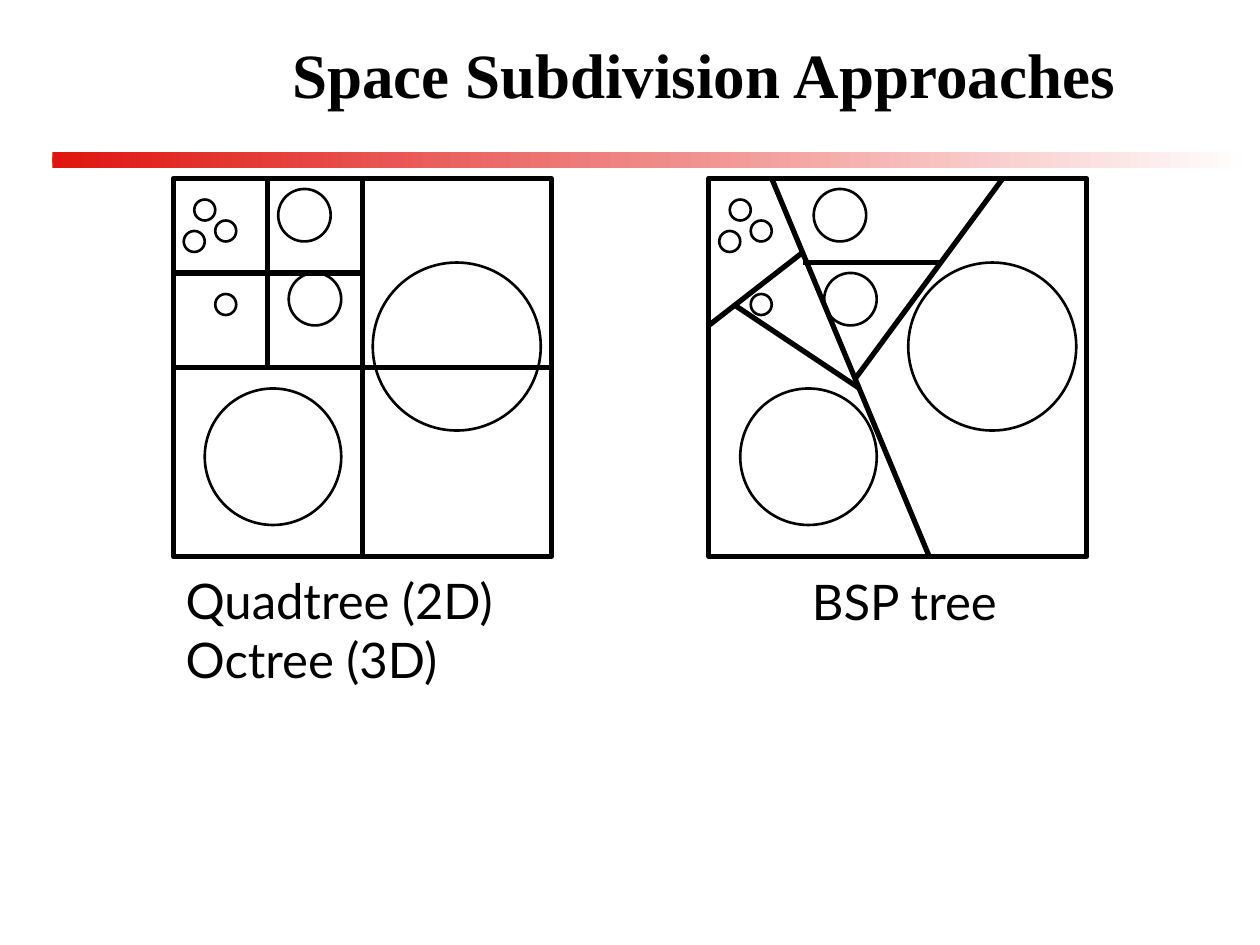
from dataclasses import dataclass

from lxml.etree import SubElement
from pptx import Presentation
from pptx.dml.color import RGBColor
from pptx.enum.shapes import MSO_CONNECTOR, MSO_SHAPE
from pptx.enum.text import MSO_ANCHOR, MSO_AUTO_SIZE, PP_ALIGN
from pptx.oxml.ns import qn
from pptx.util import Emu, Pt


@dataclass(frozen=True)
class Theme:
    """Colours, fonts, type sizes and line weights of the slide."""

    ink: RGBColor = RGBColor(0, 0, 0)
    bar_start: RGBColor = RGBColor(0xDF, 0x14, 0x0F)
    bar_end: RGBColor = RGBColor(0xFF, 0xFF, 0xFF)
    title_font: str = "Times New Roman"
    caption_font: str = "Lato"
    title_size: int = 36
    title_gap_size: int = 30
    caption_size: int = 28
    heavy_line: float = 3
    light_line: float = 1.5


def px(length):
    """Turn px into EMU at 96 px to the inch."""
    return Emu(length * 9525)


class SlideBuilder:
    """Draws styled elements on the current slide."""

    def __init__(self, slide, theme):
        self.slide = slide
        self.theme = theme

    def gradient_bar(self, left, top, width, height):
        """Add a bar that fades from left to right."""
        shape = self.slide.shapes.add_shape(
            MSO_SHAPE.RECTANGLE, px(left), px(top), px(width), px(height))
        shape.shadow.inherit = False
        shape.line.fill.background()
        shape.fill.gradient()
        shape.fill.gradient_angle = 0
        colors = (self.theme.bar_start, self.theme.bar_end)
        for stop, color in zip(shape.fill.gradient_stops, colors):
            stop.color.rgb = color

    def outline(self, shapes, kind, left, top, size, weight):
        """Add an unfilled shape as wide as it is high."""
        shape = shapes.add_shape(kind, px(left), px(top), px(size), px(size))
        shape.shadow.inherit = False
        shape.fill.background()
        shape.line.color.rgb = self.theme.ink
        shape.line.width = Pt(weight)

    def frame(self, left, top, size):
        """Add the square border of a diagram."""
        self.outline(self.slide.shapes, MSO_SHAPE.RECTANGLE,
                     left, top, size, self.theme.heavy_line)

    def circles(self, left, top, circles):
        """Add a group of circles placed relative to a diagram corner."""
        group = self.slide.shapes.add_group_shape()
        for x, y, size in circles:
            self.outline(group.shapes, MSO_SHAPE.OVAL,
                         left + x, top + y, size, self.theme.light_line)

    def splits(self, left, top, splits):
        """Add dividing lines placed relative to a diagram corner."""
        for x1, y1, x2, y2 in splits:
            line = self.slide.shapes.add_connector(
                MSO_CONNECTOR.STRAIGHT, px(left + x1), px(top + y1),
                px(left + x2), px(top + y2))
            line.line.color.rgb = self.theme.ink
            line.line.width = Pt(self.theme.heavy_line)
            SubElement(line._element.spPr, qn("a:effectLst"))

    def style(self, paragraph, font_name, size, align, bold=False):
        """Set the font and alignment of a paragraph."""
        paragraph.alignment = align
        paragraph.font.name = font_name
        paragraph.font.size = Pt(size)
        paragraph.font.bold = bold
        paragraph.font.color.rgb = self.theme.ink

    def title(self, left, top, width, height, before, after):
        """Add the title, with a narrower space between its parts."""
        box = self.slide.shapes.add_textbox(
            px(left), px(top), px(width), px(height))
        frame = box.text_frame
        frame.word_wrap = True
        frame.vertical_anchor = MSO_ANCHOR.MIDDLE
        paragraph = frame.paragraphs[0]
        for text in (before, " ", after):
            run = paragraph.add_run()
            run.text = text
            if text == " ":
                run.font.size = Pt(self.theme.title_gap_size)
        self.style(paragraph, self.theme.title_font, self.theme.title_size,
                   PP_ALIGN.CENTER, bold=True)

    def caption(self, left, top, width, height, text, align):
        """Add a caption with one paragraph per line of text."""
        box = self.slide.shapes.add_textbox(
            px(left), px(top), px(width), px(height))
        frame = box.text_frame
        frame.word_wrap = False
        frame.auto_size = MSO_AUTO_SIZE.SHAPE_TO_FIT_TEXT
        frame.text = text
        for paragraph in frame.paragraphs:
            self.style(paragraph, self.theme.caption_font,
                       self.theme.caption_size, align)


PANEL_TOP, PANEL_SIZE = 136, 288
QUADTREE_LEFT, BSP_LEFT = 132, 540
HALF, QUARTER = PANEL_SIZE // 2, PANEL_SIZE // 4

CIRCLES = [
    (16, 16, 16), (32, 32, 16), (8, 40, 16), (32, 88, 16),
    (80, 8, 40), (88, 72, 40), (24, 160, 104), (152, 64, 128),
]
QUADTREE_SPLITS = [
    (HALF, PANEL_SIZE, HALF, 0), (PANEL_SIZE, HALF, 0, HALF),
    (QUARTER, HALF, QUARTER, 0), (HALF, QUARTER, 0, QUARTER),
]
BSP_SPLITS = [
    (168, 288, 48, 0), (112, 152, 224, 0), (72, 56, 0, 112),
    (19, 96, 115, 160), (72, 64, 176, 64),
]


def main():
    """Build and save the slide."""
    presentation = Presentation()
    presentation.slide_width, presentation.slide_height = px(960), px(720)
    slide = presentation.slides.add_slide(presentation.slide_layouts[6])
    builder = SlideBuilder(slide, Theme())

    for top in (116, 120):
        builder.gradient_bar(40, top, 912, 8)
    builder.title(112, 16, 848, 80, "Space Subdivision", "Approaches")
    for left, splits in ((QUADTREE_LEFT, QUADTREE_SPLITS),
                         (BSP_LEFT, BSP_SPLITS)):
        builder.frame(left, PANEL_TOP, PANEL_SIZE)
        builder.circles(left, PANEL_TOP, CIRCLES)
        builder.splits(left, PANEL_TOP, splits)
    builder.caption(132, 430, 291, 99, "Quadtree (2D)\nOctree (3D)",
                    PP_ALIGN.LEFT)
    builder.caption(599, 431, 180, 55, "BSP tree", PP_ALIGN.CENTER)

    presentation.save("out.pptx")


if __name__ == "__main__":
    main()
